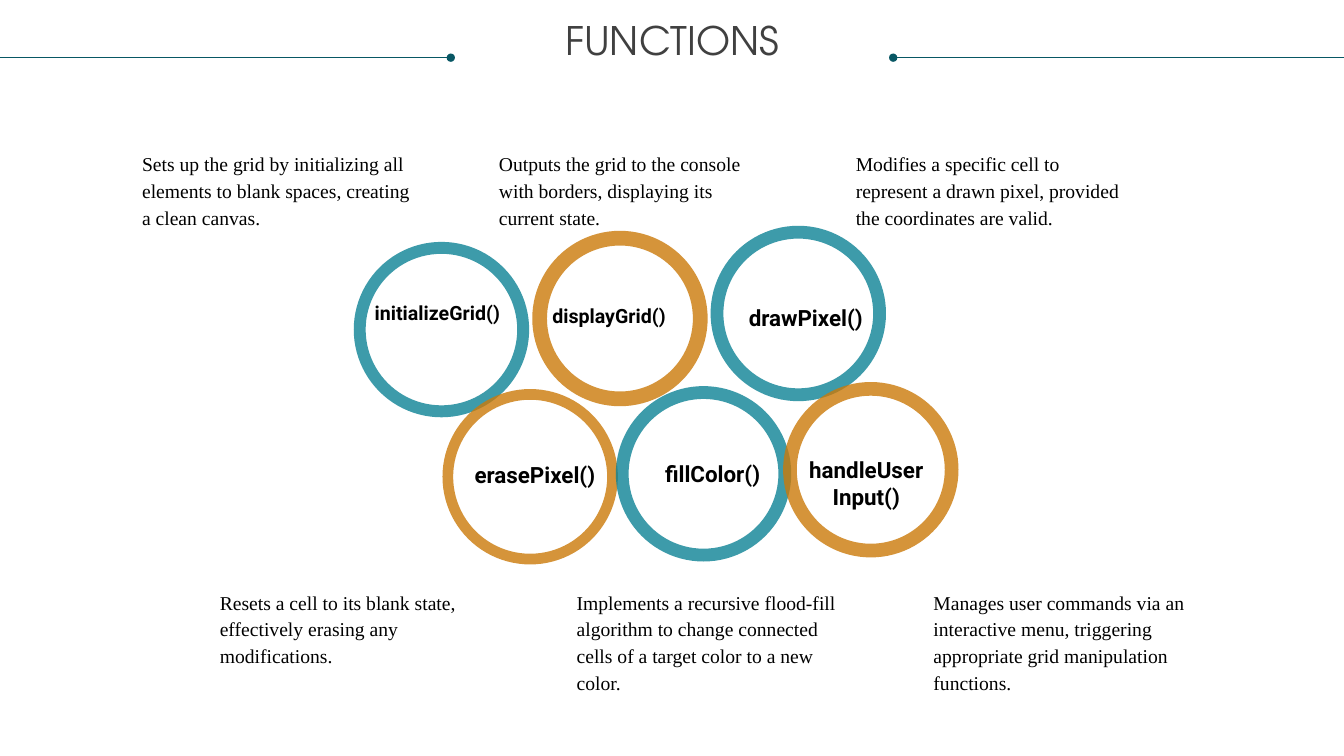
"""Build the FUNCTIONS slide: six rings with labels and descriptions."""
from lxml import etree
from pptx import Presentation
from pptx.dml.color import RGBColor
from pptx.enum import shapes, text
from pptx.oxml import ns
from pptx.util import Pt

TEAL = RGBColor(0x0D, 0x82, 0x95)
AMBER = RGBColor(0xCB, 0x7A, 0x09)
DARK = RGBColor(0x08, 0x57, 0x64)
GRAY = RGBColor(0x40, 0x40, 0x40)
BLACK = RGBColor(0, 0, 0)

WIDE, HIGH = 960, 540
RING = 125.3
RULE = 41.2
LEFT, STEP = 101.5, 254.9

TITLE = "FUNCTIONS"
RULES = [(638, WIDE, "headEnd"), (0, 322, "tailEnd")]
RINGS = [
    (252.7, 172.8, 0.068),
    (380.2, 164.9, 0.084),
    (507.6, 161.3, 0.073),
    (316.1, 277.9, 0.061),
    (439.9, 275.8, 0.073),
    (559.4, 272.9, 0.078),
]
NOTES = [
    (LEFT, 106.6, 56.2, [
        "Sets up the grid by initializing all elements to blank spaces, creating a clean canvas.",
        "Outputs the grid to the console with borders, displaying its current state.",
        "Modifies a specific cell to represent a drawn pixel, provided the coordinates are valid.",
    ]),
    (157, 419.8, 75, [
        "Resets a cell to its blank state, effectively erasing any modifications.",
        "Implements a recursive flood-fill algorithm to change connected cells of a target color to a new color.",
        "Manages user commands via an interactive menu, triggering appropriate grid manipulation functions.",
    ]),
]
LABELS = [
    (260.6, 211.7, 109.4, 41, 14, ["initializeGrid()"]),
    (387.4, 213.8, 105.1, 24.5, 14, ["displayGrid()"]),
    (527.8, 213.8, 105.1, 48.2, 16, ["drawPixel()"]),
    (331.9, 326.2, 105.1, 26.6, 16, ["erasePixel()"]),
    (468, 325.4, 105.1, 26.6, 16, ["fillColor()"]),
    (551.5, 322.6, 134.6, 46.1, 16, ["handleUser", "Input()"]),
]


def fit(frame, pad=None):
    """Wrap the text, grow to fit and set even insets."""
    frame.word_wrap = True
    frame.auto_size = text.MSO_AUTO_SIZE.SHAPE_TO_FIT_TEXT
    frame.vertical_anchor = text.MSO_ANCHOR.TOP
    if pad is not None:
        frame.margin_left = frame.margin_right = Pt(pad)
        frame.margin_top = frame.margin_bottom = Pt(pad)


def style(para, name, size, color, bold=False):
    """Set the font of a paragraph."""
    font = para.font
    font.name, font.size, font.bold = name, Pt(size), bold
    font.color.rgb = color


def box(slide, x, y, w, h, lines, pad=None):
    """Add a text box and return its paragraphs."""
    frame = slide.shapes.add_textbox(Pt(x), Pt(y), Pt(w), Pt(h)).text_frame
    fit(frame, pad)
    frame.text = "\n".join(lines)
    return frame.paragraphs


def head(slide):
    """Fill the title placeholder."""
    title = slide.shapes.title
    title.left, title.top = Pt(18), Pt(15.1)
    title.width, title.height = Pt(924), Pt(30.2)
    fit(title.text_frame, 0)
    title.text_frame.text = TITLE
    para = title.text_frame.paragraphs[0]
    para.alignment = text.PP_ALIGN.CENTER
    para.line_spacing = 0.9
    style(para, "TeX Gyre Adventor", 28, GRAY)


def rule(slide, start, stop, end):
    """Draw a title rule with a dot at one end."""
    line = slide.shapes.add_connector(
        shapes.MSO_CONNECTOR.STRAIGHT, Pt(start), Pt(RULE), Pt(stop), Pt(RULE))
    line.line.color.rgb = DARK
    line.line.width = Pt(0.5)
    prop = line.element.spPr
    etree.SubElement(prop.find(ns.qn("a:ln")), ns.qn("a:" + end), type="oval")
    etree.SubElement(prop, ns.qn("a:effectLst"))


def ring(slide, x, y, band, color):
    """Draw a ring at 80 percent opacity."""
    item = slide.shapes.add_shape(
        shapes.MSO_SHAPE.DONUT, Pt(x), Pt(y), Pt(RING), Pt(RING))
    item.adjustments[0] = band
    item.shadow.inherit = False
    item.fill.solid()
    item.fill.fore_color.rgb = color
    item.line.fill.background()
    tint = item.element.spPr.find(ns.qn("a:solidFill"))[0]
    etree.SubElement(tint, ns.qn("a:alpha"), val="80000")


def main():
    """Assemble and save the slide."""
    deck = Presentation()
    deck.slide_width, deck.slide_height = Pt(WIDE), Pt(HIGH)
    slide = deck.slides.add_slide(deck.slide_layouts[5])
    head(slide)
    for row in RULES:
        rule(slide, *row)
    for i, (x, y, band) in enumerate(RINGS):
        ring(slide, x, y, band, (TEAL, AMBER)[i % 2])
    for left, top, high, words in NOTES:
        for i, line in enumerate(words):
            para = box(slide, left + i * STEP, top, 191.5, high, [line], 0)[0]
            para.line_spacing = Pt(19)
            style(para, "Times New Roman", 14, BLACK)
    for x, y, w, h, size, lines in LABELS:
        for para in box(slide, x, y, w, h, lines):
            style(para, "Roboto", size, BLACK, True)
            if len(lines) > 1:
                para.alignment = text.PP_ALIGN.CENTER
    deck.save("out.pptx")


if __name__ == "__main__":
    main()
